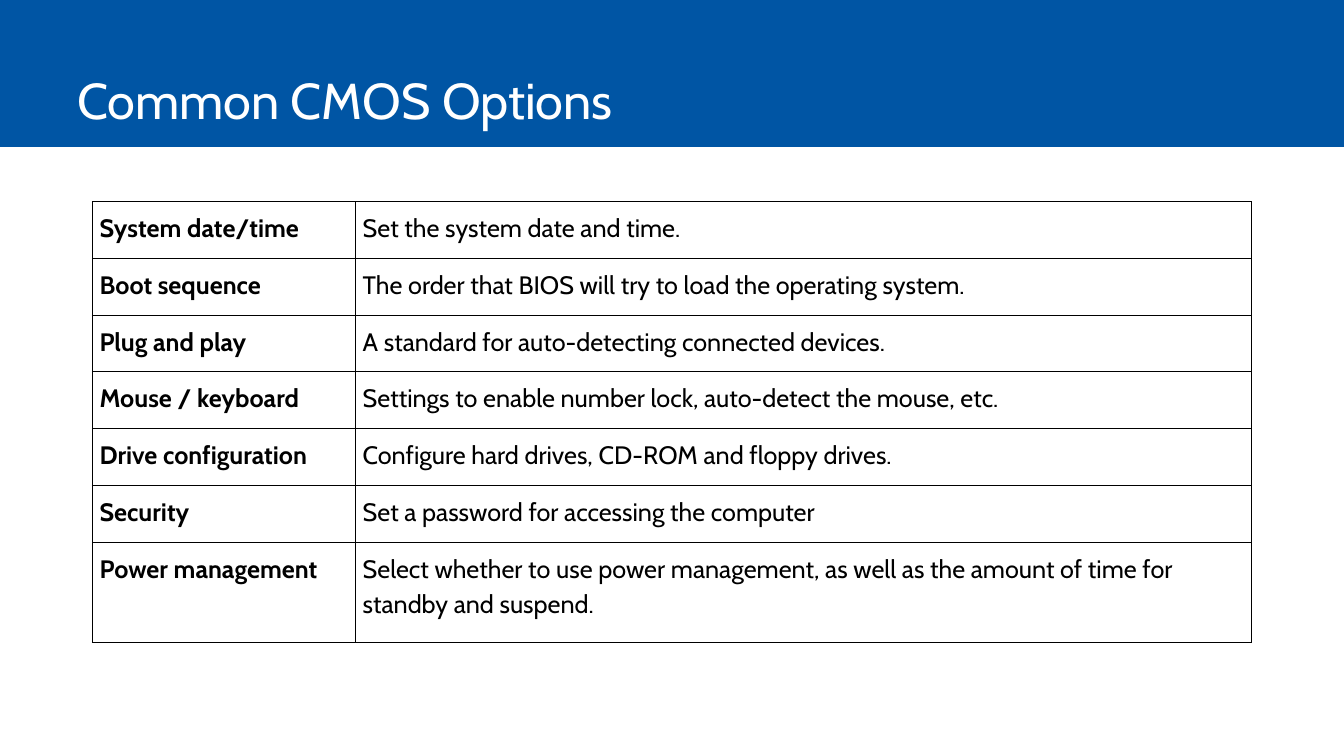
from lxml.etree import SubElement
from pptx import Presentation
from pptx.dml.color import RGBColor
from pptx.enum.shapes import MSO_SHAPE
from pptx.enum.text import MSO_ANCHOR
from pptx.oxml.ns import qn
from pptx.util import Cm, Pt

BLUE = RGBColor(0x00, 0x55, 0xA4)
WHITE = RGBColor(0xFF, 0xFF, 0xFF)
BLACK = RGBColor(0x00, 0x00, 0x00)

TITLE_FORMAT = {"name": "Cabin", "size": Pt(36), "bold": False}
CELL_FORMAT = {"name": "Cabin", "size": Pt(18)}
CELL_MARGINS = {f"margin_{side}": Cm(0.18) for side in ("left", "right", "top", "bottom")}

COLUMN_WIDTHS = [6.63, 22.58]
ROW_HEIGHTS = [1.43] * 6 + [2.52]

OPTIONS = [
    ("System date/time", "Set the system date and time."),
    ("Boot sequence", "The order that BIOS will try to load the operating system."),
    ("Plug and play", "A standard for auto-detecting connected devices."),
    ("Mouse / keyboard", "Settings to enable number lock, auto-detect the mouse, etc."),
    ("Drive configuration", "Configure hard drives, CD-ROM and floppy drives."),
    ("Security", "Set a password for accessing the computer"),
    ("Power management", "Select whether to use power management, as well as the "
                         "amount of time for standby and suspend."),
]


def set_attributes(target, values):
    for name, value in values.items():
        setattr(target, name, value)


def write_text(text_frame, text, font_format, color):
    paragraph = text_frame.paragraphs[0]
    run = paragraph.add_run()
    run.text = text
    set_attributes(run.font, font_format)
    run.font.color.rgb = color
    return paragraph


def add_borders(cell, color, width):
    properties = cell._tc.get_or_add_tcPr()
    for side in ("lnL", "lnR", "lnT", "lnB"):
        line = SubElement(properties, qn(f"a:{side}"), w=str(width))
        fill = SubElement(line, qn("a:solidFill"))
        SubElement(fill, qn("a:srgbClr"), val=str(color))


def add_header(slide, left, top, width, height):
    band = slide.shapes.add_shape(MSO_SHAPE.RECTANGLE, left, top, width, height)
    band.shadow.inherit = False
    band.fill.solid()
    band.fill.fore_color.rgb = BLUE
    band.line.fill.background()

    title = slide.shapes.add_textbox(
        left + Cm(1.7), top, width - Cm(4.02), height - Cm(0.3))
    set_attributes(title.text_frame, {
        "word_wrap": True, "vertical_anchor": MSO_ANCHOR.BOTTOM})
    write_text(title.text_frame, "Common CMOS Options", TITLE_FORMAT, WHITE)


def add_options_table(slide, left, top, width, height):
    table = slide.shapes.add_table(
        len(OPTIONS), len(COLUMN_WIDTHS), left, top, width, height).table
    set_attributes(table, {"first_row": False, "horz_banding": False})
    for column, column_width in zip(table.columns, COLUMN_WIDTHS):
        column.width = Cm(column_width)
    for row, row_height, texts in zip(table.rows, ROW_HEIGHTS, OPTIONS):
        row.height = Cm(row_height)
        for index, (cell, text) in enumerate(zip(row.cells, texts)):
            set_attributes(cell, CELL_MARGINS)
            add_borders(cell, BLACK, Pt(1))
            cell.fill.background()
            paragraph = write_text(
                cell.text_frame, text, {**CELL_FORMAT, "bold": index == 0}, BLACK)
            paragraph.line_spacing = 1.15


def main():
    presentation = Presentation()
    set_attributes(presentation, {"slide_width": Cm(33.87), "slide_height": Cm(19.05)})
    slide = presentation.slides.add_slide(presentation.slide_layouts[6])
    add_header(slide, 0, 0, presentation.slide_width, Cm(3.7))
    add_options_table(
        slide, Cm(2.33), Cm(5.08), Cm(sum(COLUMN_WIDTHS)), Cm(sum(ROW_HEIGHTS)))
    presentation.save("out.pptx")


if __name__ == "__main__":
    main()
